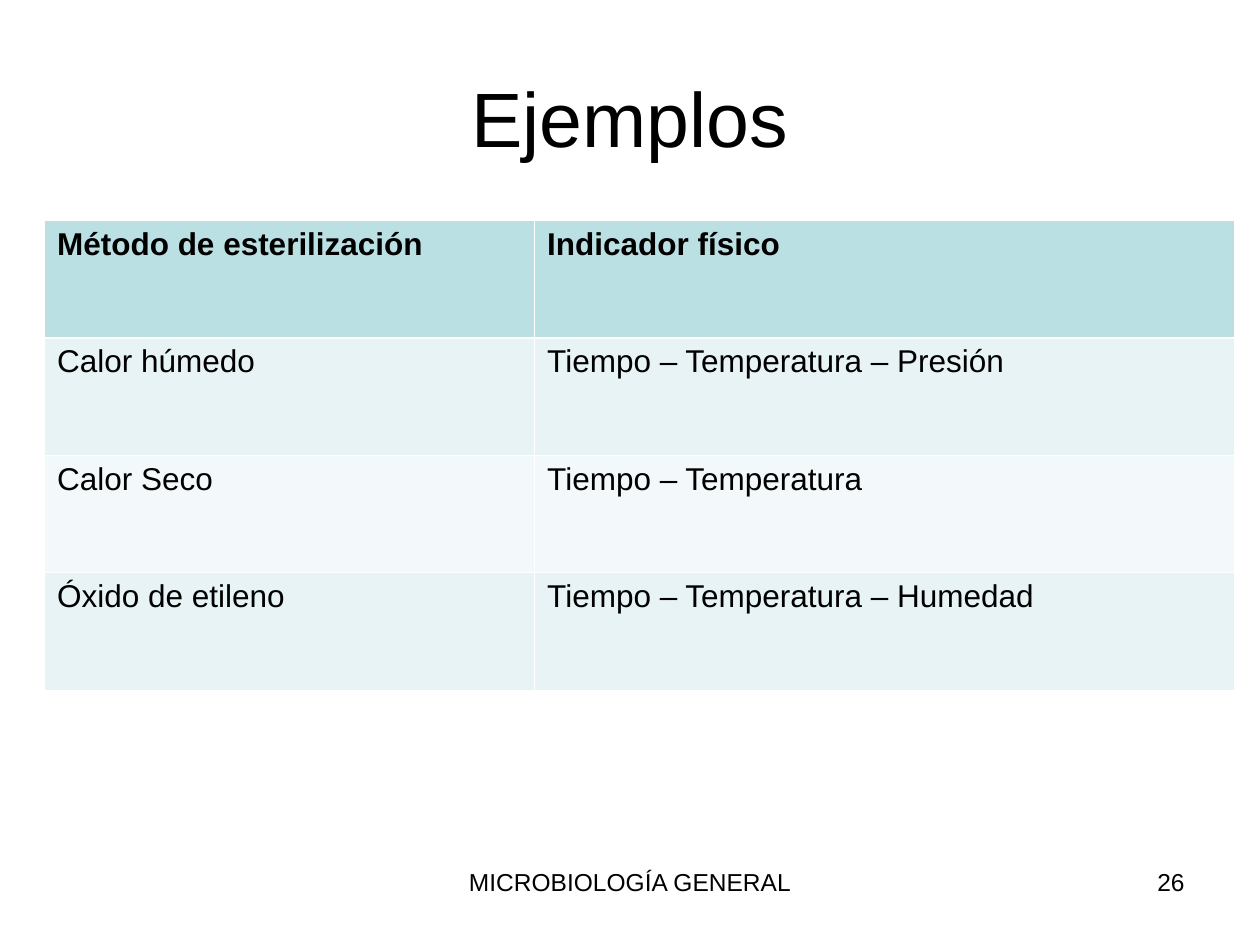
from dataclasses import dataclass

from lxml import etree
from pptx import Presentation
from pptx.dml.color import RGBColor
from pptx.enum.text import MSO_ANCHOR, PP_ALIGN
from pptx.oxml.ns import qn
from pptx.util import Pt

CENTER, LEFT, RIGHT = PP_ALIGN.CENTER, PP_ALIGN.LEFT, PP_ALIGN.RIGHT
MIDDLE, TOP = MSO_ANCHOR.MIDDLE, MSO_ANCHOR.TOP
TITLE_ONLY = 5


@dataclass(frozen=True)
class Theme:
    font: str = "Arial"
    ink: str = "000000"
    paper: str = "FFFFFF"
    header: str = "BBE0E3"
    bands: tuple = ("E7F3F4", "F3F9FA")
    title_size: float = 44
    table_size: float = 18
    footer_size: float = 14
    thin: float = 0.45
    thick: float = 1.47


@dataclass(frozen=True)
class Box:
    left: float
    top: float
    width: float
    height: float

    def lengths(self):
        return Pt(self.left), Pt(self.top), Pt(self.width), Pt(self.height)


THEME = Theme()
ROWS = (
    ("Método de esterilización", "Indicador físico"),
    ("Calor húmedo", "Tiempo – Temperatura – Presión"),
    ("Calor Seco", "Tiempo – Temperatura"),
    ("Óxido de etileno", "Tiempo – Temperatura – Humedad"),
)
COLUMN_WIDTHS = (280, 400)


def write(frame, text, size, align, bold=False):
    para = frame.paragraphs[0]
    para.alignment = align
    span = para.add_run()
    span.text = text
    span.font.name = THEME.font
    span.font.size = Pt(size)
    span.font.bold = bold
    span.font.color.rgb = RGBColor.from_string(THEME.ink)


def add_title(page, box, text):
    title = page.shapes.title
    title.left, title.top, title.width, title.height = box.lengths()
    title.text_frame.vertical_anchor = MIDDLE
    write(title.text_frame, text, THEME.title_size, CENTER)


def add_border(cell, side, width):
    line = etree.SubElement(cell._tc.get_or_add_tcPr(), qn(f"a:{side}"), w=str(Pt(width)))
    fill = etree.SubElement(line, qn("a:solidFill"))
    etree.SubElement(fill, qn("a:srgbClr"), val=THEME.paper)


def format_cell(cell, row):
    header_edge = {0: "lnB", 1: "lnT"}.get(row)
    for side in ("lnL", "lnR", "lnT", "lnB"):
        add_border(cell, side, THEME.thick if side == header_edge else THEME.thin)
    color = THEME.bands[(row - 1) % 2] if row else THEME.header
    cell.fill.solid()
    cell.fill.fore_color.rgb = RGBColor.from_string(color)
    cell.vertical_anchor = TOP


def add_methods_table(page, box):
    table = page.shapes.add_table(len(ROWS), len(COLUMN_WIDTHS), *box.lengths()).table
    for column, width in zip(table.columns, COLUMN_WIDTHS):
        column.width = Pt(box.width * width / sum(COLUMN_WIDTHS))
    for row, texts in enumerate(ROWS):
        table.rows[row].height = Pt(box.height / len(ROWS))
        for column, text in enumerate(texts):
            cell = table.cell(row, column)
            format_cell(cell, row)
            write(cell.text_frame, text, THEME.table_size, LEFT, bold=row == 0)


def add_footer_text(page, box, text, align):
    frame = page.shapes.add_textbox(*box.lengths()).text_frame
    frame.word_wrap = True
    frame.vertical_anchor = TOP
    write(frame, text, THEME.footer_size, align)


def add_footer(page, box):
    middle = Box(box.left + 210, box.top, 228, box.height)
    number = Box(box.left + box.width - 168, box.top, 168, box.height)
    add_footer_text(page, middle, "MICROBIOLOGÍA GENERAL", CENTER)
    add_footer_text(page, number, "26", RIGHT)


def main():
    deck = Presentation()
    deck.slide_width, deck.slide_height = Pt(720), Pt(540)
    page = deck.slides.add_slide(deck.slide_layouts[TITLE_ONLY])
    page.background.fill.solid()
    page.background.fill.fore_color.rgb = RGBColor.from_string(THEME.paper)
    add_title(page, Box(36, 21.6, 648, 90), "Ejemplos")
    add_methods_table(page, Box(25.5, 126, 680, 268.4))
    add_footer(page, Box(36, 491.75, 648, 37.5))
    deck.save("out.pptx")


if __name__ == "__main__":
    main()
